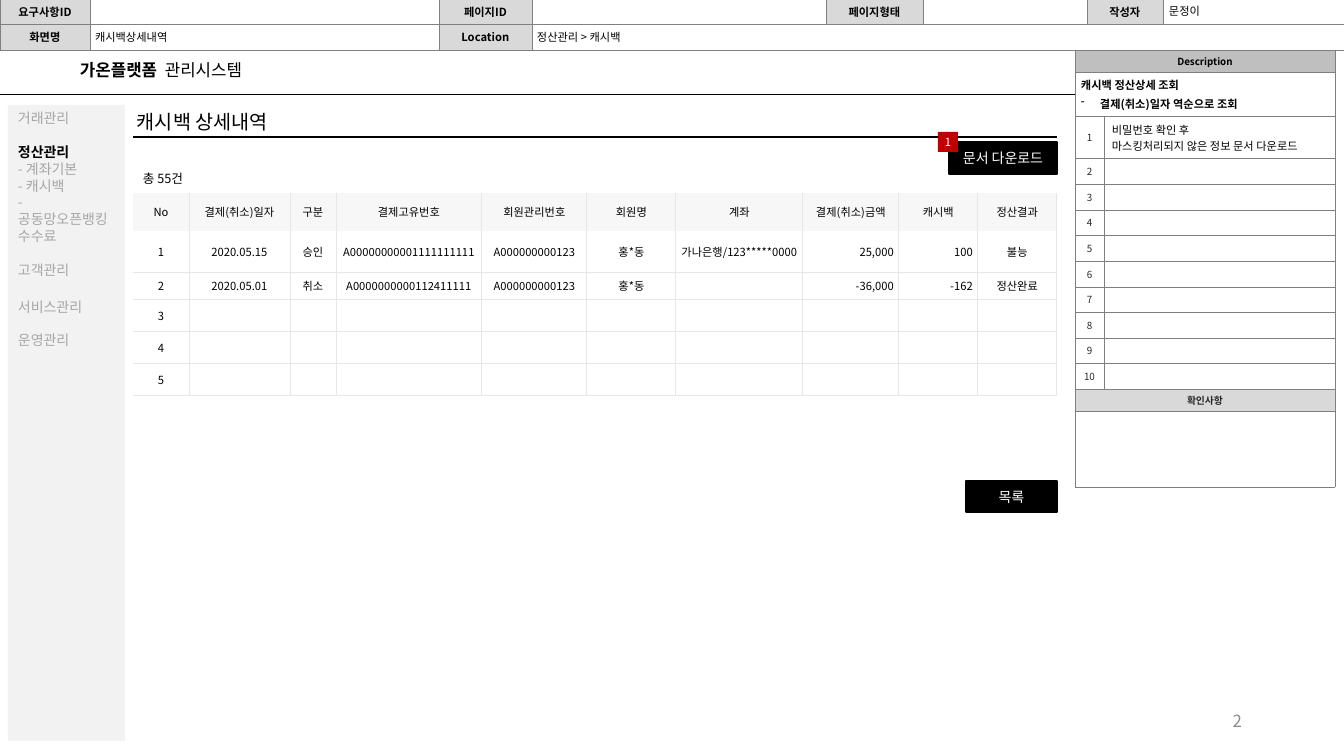
from lxml import etree
from pptx import Presentation
from pptx import util as u
from pptx.dml.color import RGBColor
from pptx.enum import shapes, text
from pptx.oxml import ns

PX = 914400 / 100.8
FONT = "Noto Sans CJK KR"
COLORS = {
    "black": "000000", "white": "FFFFFF", "ink": "292929", "page": "8C8C8C",
    "menu": "A6A6A6", "sidebar": "F2F2F2", "label": "D9D9D9", "title": "BFBFBF",
    "form_line": "808080", "note_line": "7F7F7F", "head": "F7F7F7",
    "data_line": "E7E7E7", "badge": "C00000",
}
ALIGN = {"l": text.PP_ALIGN.LEFT, "c": text.PP_ALIGN.CENTER, "r": text.PP_ALIGN.RIGHT}

FORM = [["요구사항ID", "", "페이지ID", "", "페이지형태", "", "작성자", ""],
        ["화면명", "", "Location", "", "", "", "", ""]]
FORM_X = [0, 90, 439, 532, 826, 923, 1087, 1163, 1345]
FORM_Y = [-1, 24, 50]
FORM_VALUES = [("정산관리 > 캐시백", (533, 26, 811, 24)),
               ("문정이", (1165, 0, 178, 24)),
               ("캐시백상세내역", (91, 26, 345, 24))]

# menu entry, space before in points, active
MENU = [("거래관리", 0, False), ("정산관리", 12, True), ("- 계좌기본", 0, False),
        ("- 캐시백", 0, False), ("- 공동망오픈뱅킹수수료", 0, False),
        ("고객관리", 12, False), ("서비스관리", 14.5, False), ("운영관리", 12, False)]

NOTES = [["Description", ""], [["캐시백 정산상세 조회", "결제(취소)일자 역순으로 조회"], ""],
         ["1", ["비밀번호 확인 후 ", "마스킹처리되지 않은 정보 문서 다운로드"]],
         *[[str(n), ""] for n in range(2, 11)], ["확인사항", ""], ["", ""]]
NOTES_X = [1075, 1104, 1335]
NOTES_Y = [50, 72, 116, 158, 184, 210, 235, 261, 287, 312, 338, 363, 389, 411, 487]
NOTES_WIDE = (0, 1, 12, 13)

DATA = [["No", "결제(취소)일자", "구분", "결제고유번호", "회원관리번호", "회원명",
         "계좌", "결제(취소)금액", "캐시백", "정산결과"],
        ["1", "2020.05.15", "승인", "A00000000001111111111", "A000000000123", "홍*동",
         "가나은행/123*****0000", "25,000", "100", "불능"],
        ["2", "2020.05.01", "취소", "A0000000000112411111", "A000000000123", "홍*동",
         "", "-36,000", "-162", "정산완료"],
        *[[str(n)] + [""] * 9 for n in range(3, 6)]]
DATA_X = [133, 189, 290, 336, 482, 587, 676, 803, 899, 978, 1057]
DATA_Y = [193, 231, 272, 300, 332, 364, 396]
AMOUNT_COLS = (7, 8)

BUTTONS = [("목록", (966, 481, 91, 31)), ("문서 다운로드", (949, 142, 108, 32))]


def px(n):
    """Turn pixels into EMU."""
    return u.Emu(round(n * PX))


def rgb(name):
    """Look up a colour by name."""
    return RGBColor.from_string(COLORS[name])


def add_run(p, words, size, color="black", bold=False):
    """Add one styled run to a paragraph."""
    r = p.add_run()
    r.text = words
    r.font.size, r.font.bold = u.Pt(size), bold
    r.font.color.rgb = rgb(color)
    r.font.name = FONT
    etree.SubElement(r.font._element, ns.qn("a:ea")).set("typeface", FONT)


def paragraphs(tf, count):
    """Return the given number of paragraphs of a text frame."""
    return [tf.paragraphs[0]] + [tf.add_paragraph() for _ in range(count - 1)]


def set_frame(tf, insets, middle):
    """Set wrapping, insets in pixels and vertical anchor."""
    tf.word_wrap = True
    tf.margin_left, tf.margin_top, tf.margin_right, tf.margin_bottom = map(px, insets)
    tf.vertical_anchor = text.MSO_ANCHOR.MIDDLE if middle else text.MSO_ANCHOR.TOP


def add_text(box, runs, size, color="black", align="l", insets=(10, 5, 10, 5), middle=False):
    """Add a one-paragraph text box from (words, bold) runs."""
    tf = slide.shapes.add_textbox(*map(px, box)).text_frame
    set_frame(tf, insets, middle)
    p = tf.paragraphs[0]
    p.alignment = ALIGN[align]
    for words, bold in runs:
        add_run(p, words, size, color, bold)
    return p


def add_rect(box, fill, line=None):
    """Add a flat rectangle."""
    sp = slide.shapes.add_shape(shapes.MSO_SHAPE.RECTANGLE, *map(px, box))
    sp.shadow.inherit = False
    sp.fill.solid()
    sp.fill.fore_color.rgb = rgb(fill)
    if line:
        sp.line.color.rgb, sp.line.width = rgb(line), u.Pt(1)
    else:
        sp.line.fill.background()
    return sp


def add_label(box, words, size, fill, line=None, insets=(4, 4, 4, 4)):
    """Add a rectangle with centred white text."""
    tf = add_rect(box, fill, line).text_frame
    set_frame(tf, insets, True)
    tf.paragraphs[0].alignment = ALIGN["c"]
    add_run(tf.paragraphs[0], words, size, "white")


def add_rule(x1, x2, y, width):
    """Add a horizontal black line."""
    ln = slide.shapes.add_connector(shapes.MSO_CONNECTOR.STRAIGHT, px(x1), px(y), px(x2), px(y))
    ln.line.color.rgb, ln.line.width = rgb("black"), u.Pt(width)
    etree.SubElement(ln._element.spPr, ns.qn("a:effectLst"))


def set_borders(cell, sides, color, width):
    """Draw the named sides of a cell and clear the others."""
    tc_pr = cell._tc.get_or_add_tcPr()
    for i, side in enumerate("LRTB"):
        ln = etree.Element(ns.qn("a:ln" + side), w=str(u.Pt(width)))
        if side in sides:
            fill = etree.SubElement(ln, ns.qn("a:solidFill"))
            etree.SubElement(fill, ns.qn("a:srgbClr")).set("val", COLORS[color])
        else:
            etree.SubElement(ln, ns.qn("a:noFill"))
        tc_pr.insert(i, ln)


def add_grid(xs, ys, rows, style, line, width, sides=lambda r, c: "LRTB"):
    """Add a table on the given edges; style(r, c) gives each cell's look."""
    box = xs[0], ys[0], xs[-1] - xs[0], ys[-1] - ys[0]
    table = slide.shapes.add_table(len(rows), len(xs) - 1, *map(px, box)).table
    table.first_row = table.horz_banding = False
    for col, a, b in zip(table.columns, xs, xs[1:]):
        col.width = px(b - a)
    for row, a, b in zip(table.rows, ys, ys[1:]):
        row.height = px(b - a)
    for r, row in enumerate(rows):
        for c, content in enumerate(row):
            cell = table.cell(r, c)
            fill, size, color, bold, align, insets = style(r, c)
            cell.fill.solid()
            cell.fill.fore_color.rgb = rgb(fill)
            set_borders(cell, sides(r, c), line, width)
            cell.margin_left = cell.margin_right = px(insets[0])
            cell.margin_top = cell.margin_bottom = px(insets[1])
            cell.vertical_anchor = text.MSO_ANCHOR.MIDDLE
            lines = content if isinstance(content, list) else [content]
            for p, words in zip(paragraphs(cell.text_frame, len(lines)), lines):
                p.alignment = ALIGN[align]
                if words:
                    add_run(p, words, size, color, bold)
                else:
                    p._p.get_or_add_endParaRPr().set("sz", str(size * 100))
    return table


def form_style(r, c):
    """Style the page header form."""
    return "label" if FORM[r][c] else "white", 8, "black", True, "c", (0, 0)


def notes_style(r, c):
    """Style the description panel."""
    if r == 1:
        return "white", 8, "black", True, "l", (6, 4)
    if r in NOTES_WIDE:
        fill = {0: "title", 12: "label"}.get(r, "white")
        return fill, 7, "ink" if r else "black", True, "c", (6, 4)
    return ("white", 8, "black", False, "l", (8, 5)) if c else ("white", 7, "ink", False, "c", (6, 4))


def data_style(r, c):
    """Style the cashback list."""
    align = "r" if r and c in AMOUNT_COLS else "c"
    return "white" if r else "head", 8, "black", False, align, (5, 4)


def data_sides(r, c):
    """Leave the list open at the left and around its header."""
    return "R" + "L" * (c > 0) + "B" * (r > 0) + "T" * (r > 1)


prs = Presentation()
prs.slide_width, prs.slide_height = px(1344), px(756)
slide = prs.slides.add_slide(prs.slide_layouts[6])

form = add_grid(FORM_X, FORM_Y, FORM, form_style, "form_line", 0.25)
form.cell(1, 3).merge(form.cell(1, 7))
for words, box in FORM_VALUES:
    add_text(box, [(words, False)], 8, insets=(4, 0, 0, 0), middle=True).line_spacing = 0.9

add_rule(0, 1075, 95, 0.75)
add_text((70, 55, 217, 30), [("가온플랫폼  ", True), ("관리시스템", False)], 12)

menu = add_rect((8, 105, 117, 636), "sidebar").text_frame
set_frame(menu, (10, 5, 10, 5), False)
for p, (words, gap, active) in zip(paragraphs(menu, len(MENU)), MENU):
    p.alignment = ALIGN["l"]
    p.line_spacing, p.space_before = u.Pt(12), u.Pt(gap)
    add_run(p, words, 10, "black" if active else "menu", active)

notes = add_grid(NOTES_X, NOTES_Y, NOTES, notes_style, "note_line", 0.25)
for r in NOTES_WIDE:
    notes.cell(r, 0).merge(notes.cell(r, 1))
summary, detail = notes.cell(1, 0).text_frame.paragraphs
summary.space_before = detail.space_before = u.Pt(1.6)
p_pr = detail._p.get_or_add_pPr()
p_pr.set("marL", str(px(19)))
p_pr.set("indent", str(-px(19)))
etree.SubElement(p_pr, ns.qn("a:buChar")).set("char", "-")

add_grid(DATA_X, DATA_Y, DATA, data_style, "data_line", 0.75, data_sides)
add_rule(133, 1057, 137, 1.5)
add_text((127, 105, 237, 34), [("캐시백 상세내역", False)], 14)
add_text((133, 166, 110, 25), [("총 55건", False)], 9)
for words, box in BUTTONS:
    add_label(box, words, 10, "black", "black")
add_label((938, 132, 20, 20), "1", 8, "badge", insets=(0, 5, 0, 5))
add_text((950, 701, 302, 40), [("2", False)], 12, "page", "r", middle=True)

prs.save("out.pptx")
